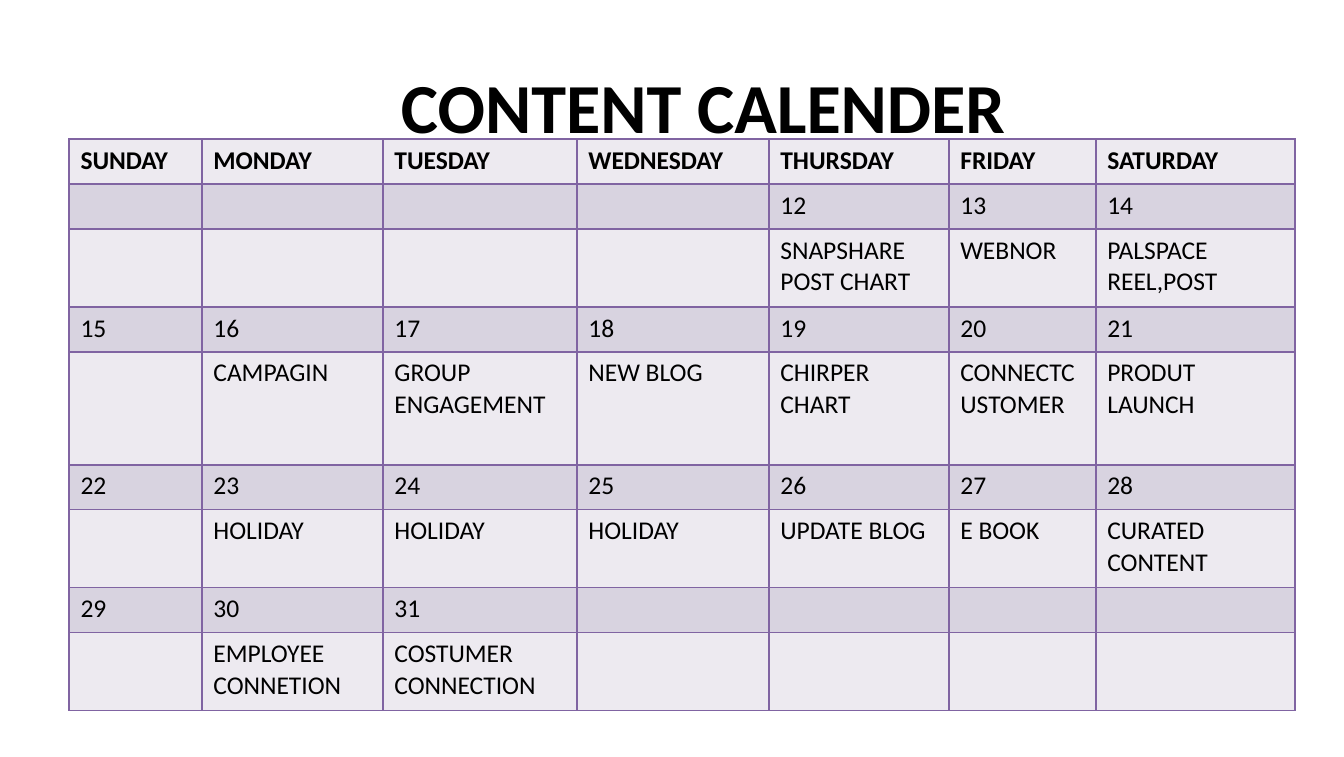
from lxml.etree import SubElement
from pptx import Presentation
from pptx.dml.color import RGBColor
from pptx.enum.text import MSO_ANCHOR, MSO_AUTO_SIZE, PP_ALIGN
from pptx.oxml.ns import qn
from pptx.util import Emu, Pt

EMU_PER_PX = 914400 // 115
FONT = "Calibri"
BLACK, LIGHT, DARK, BORDER = "000000", "EDEAF0", "D8D3E0", "8064A2"

DAYS = ["SUNDAY", "MONDAY", "TUESDAY", "WEDNESDAY", "THURSDAY", "FRIDAY", "SATURDAY"]
FIRST_DATE, LAST_DATE = 12, 31
WEEK_STARTS = range(8, LAST_DATE + 1, 7)
PLANS = {
    12: "SNAPSHARE POST CHART", 13: "WEBNOR", 14: "PALSPACE REEL,POST",
    16: "CAMPAGIN", 17: "GROUP ENGAGEMENT", 18: "NEW BLOG",
    19: "CHIRPER CHART", 20: "CONNECTCUSTOMER", 21: "PRODUT LAUNCH",
    23: "HOLIDAY", 24: "HOLIDAY", 25: "HOLIDAY",
    26: "UPDATE BLOG", 27: "E BOOK", 28: "CURATED CONTENT",
    30: "EMPLOYEE\nCONNETION", 31: "COSTUMER CONNECTION",
}
COLUMN_WIDTHS = [133, 181, 194, 192, 180, 147, 199]
LINE_ROW = 45
PLAN_ROWS = [78, 113, 78, 78]


def px(length):
    return Emu(length * EMU_PER_PX)


def color(value):
    return RGBColor.from_string(value)


def add_run(paragraph, text, size, bold):
    run = paragraph.add_run()
    run.text = text
    run.font.name = FONT
    run.font.size = Pt(size)
    run.font.bold = bold
    run.font.color.rgb = color(BLACK)


def add_title(slide, text, left, top, width, height):
    title = slide.shapes.title
    title.left, title.top, title.width, title.height = map(px, (left, top, width, height))
    frame = title.text_frame
    frame.auto_size = MSO_AUTO_SIZE.NONE
    frame.vertical_anchor = MSO_ANCHOR.TOP
    paragraph = frame.paragraphs[0]
    paragraph.alignment = PP_ALIGN.CENTER
    add_run(paragraph, text, 44, True)


def add_borders(cell):
    properties = cell._tc.get_or_add_tcPr()
    for side in ("a:lnL", "a:lnR", "a:lnT", "a:lnB"):
        line = SubElement(properties, qn(side), w=str(Pt(1)))
        fill = SubElement(line, qn("a:solidFill"))
        SubElement(fill, qn("a:srgbClr"), val=BORDER)


def fill_cell(cell, text, background, bold):
    add_borders(cell)
    cell.fill.solid()
    cell.fill.fore_color.rgb = color(background)
    frame = cell.text_frame
    if not text:
        # An empty cell still sets its row's minimum height by its font size.
        SubElement(frame.paragraphs[0]._p, qn("a:endParaRPr"), sz="1600")
        return
    for index, line in enumerate(text.split("\n")):
        paragraph = frame.add_paragraph() if index else frame.paragraphs[0]
        add_run(paragraph, line, 16, bold)


def calendar_rows():
    """Return the weekday row, then a row of dates and a row of plans per week."""
    rows = [DAYS]
    for start in WEEK_STARTS:
        week = range(start, start + 7)
        rows.append([str(date) if FIRST_DATE <= date <= LAST_DATE else "" for date in week])
        rows.append([PLANS.get(date, "") for date in week])
    return rows


def add_calendar(slide, left, top):
    rows = calendar_rows()
    heights = [LINE_ROW]
    for plan_height in PLAN_ROWS:
        heights += [LINE_ROW, plan_height]
    table = slide.shapes.add_table(
        len(rows), len(DAYS), px(left), px(top),
        px(sum(COLUMN_WIDTHS)), px(sum(heights))).table
    table.first_row = False
    table.horz_banding = False
    for column, width in zip(table.columns, COLUMN_WIDTHS):
        column.width = px(width)
    for row_index, (row, height) in enumerate(zip(rows, heights)):
        table.rows[row_index].height = px(height)
        background = DARK if row_index % 2 else LIGHT
        for column_index, text in enumerate(row):
            fill_cell(table.cell(row_index, column_index), text, background, row_index == 0)


def main():
    presentation = Presentation()
    presentation.slide_width, presentation.slide_height = px(1344), px(757)
    title_only = presentation.slide_layouts[5]
    slide = presentation.slides.add_slide(title_only)
    add_title(slide, "CONTENT CALENDER", 124, 57, 1159, 105)
    add_calendar(slide, 69, 139)
    presentation.save("out.pptx")


if __name__ == "__main__":
    main()
